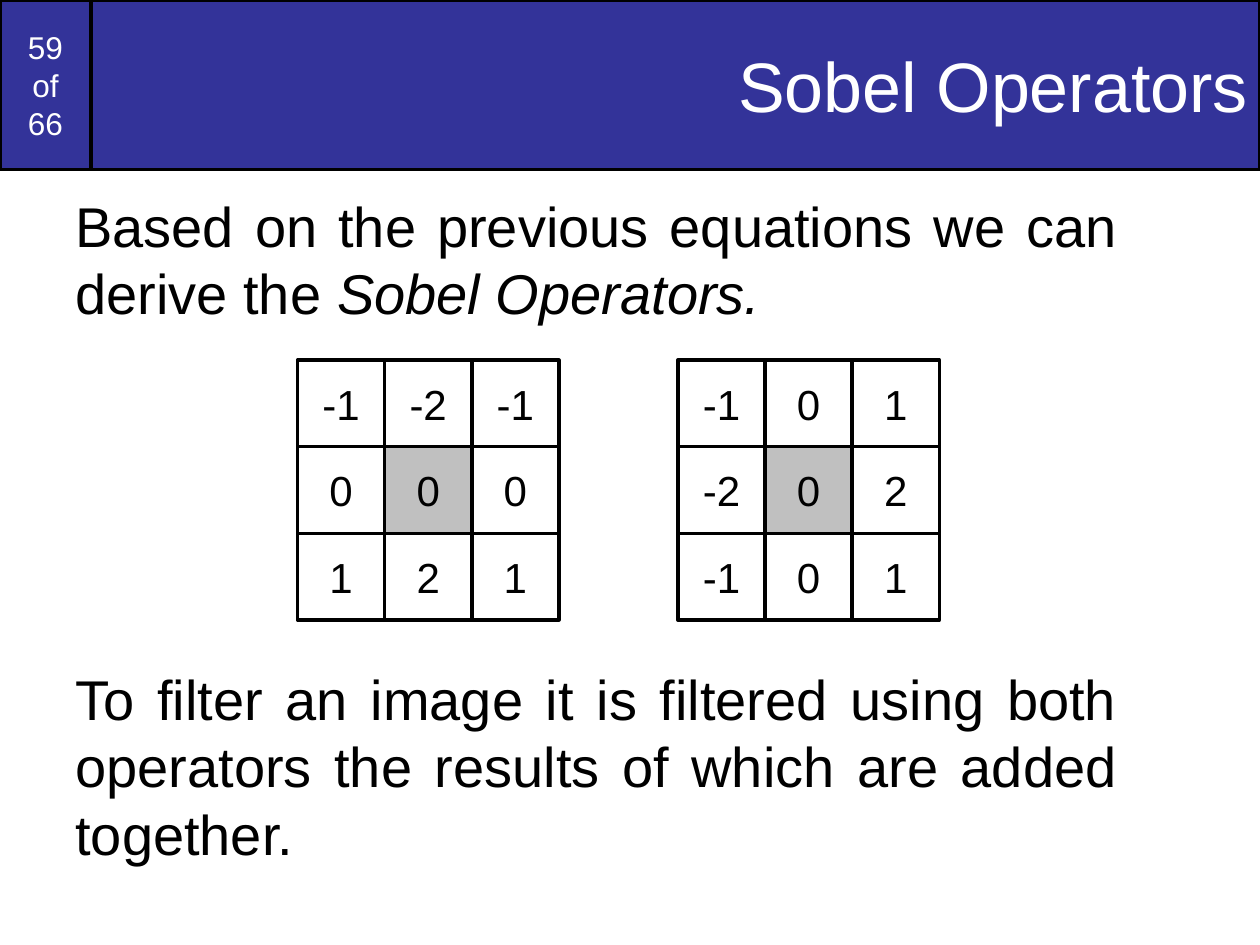
from dataclasses import dataclass

from pptx import Presentation
from pptx.dml.color import RGBColor
from pptx.enum.shapes import MSO_SHAPE
from pptx.enum.text import MSO_ANCHOR, PP_ALIGN
from pptx.util import Pt


@dataclass(frozen=True)
class Theme:
    font: str = "Arial"
    banner: RGBColor = RGBColor(0x33, 0x33, 0x99)
    ink: RGBColor = RGBColor(0, 0, 0)
    paper: RGBColor = RGBColor(255, 255, 255)
    centre: RGBColor = RGBColor(0xC0, 0xC0, 0xC0)
    title_size: float = 40
    body_size: float = 32
    cell_size: float = 24
    counter_size: float = 18
    leading: float = 1.2
    outline: float = 2


THEME = Theme()
HORIZONTAL_KERNEL = [["-1", "-2", "-1"], ["0", "0", "0"], ["1", "2", "1"]]
VERTICAL_KERNEL = [["-1", "0", "1"], ["-2", "0", "2"], ["-1", "0", "1"]]


def write(para, text, *, size, color=THEME.ink, align=PP_ALIGN.CENTER,
          italic=False, before=0):
    """Append text to a paragraph; each newline becomes a line break."""
    para.alignment = align
    para.line_spacing = Pt(size * THEME.leading)
    para.space_before = Pt(before)
    for index, line in enumerate(text.split("\n")):
        if index:
            para.add_line_break()
        span = para.add_run()
        span.text = line
        span.font.name = THEME.font
        span.font.size = Pt(size)
        span.font.italic = italic
        span.font.color.rgb = color


def add_panel(shapes, box, fill, text, *, wrap=True, **text_format):
    """Outlined rectangle with vertically centred text."""
    panel = shapes.add_shape(MSO_SHAPE.RECTANGLE, *map(Pt, box))
    panel.shadow.inherit = False
    panel.fill.solid()
    panel.fill.fore_color.rgb = fill
    panel.line.color.rgb = THEME.ink
    panel.line.width = Pt(THEME.outline)
    frame = panel.text_frame
    frame.word_wrap = wrap
    frame.vertical_anchor = MSO_ANCHOR.MIDDLE
    write(frame.paragraphs[0], text, **text_format)


def add_banner(page, box):
    left, top, width, height = box
    counter_width = 52
    add_panel(page.shapes, (left, top, counter_width, height), THEME.banner,
              "59\nof\n66", size=THEME.counter_size, color=THEME.paper)
    add_panel(page.shapes,
              (left + counter_width, top, width - counter_width, height),
              THEME.banner, "Sobel Operators", size=THEME.title_size,
              color=THEME.paper, align=PP_ALIGN.RIGHT)


def add_body(page, box, kernel_gap):
    """Two paragraphs, with kernel_gap left between them for the kernels."""
    frame = page.shapes.add_textbox(*map(Pt, box)).text_frame
    frame.word_wrap = True
    body = {"size": THEME.body_size, "align": PP_ALIGN.JUSTIFY}
    intro = frame.paragraphs[0]
    write(intro, "Based on the previous equations we can derive the ", **body)
    write(intro, "Sobel Operators.", italic=True, **body)
    write(frame.add_paragraph(),
          "To filter an image it is filtered using both operators "
          "the results of which are added together.",
          before=kernel_gap, **body)


def add_kernel(page, box, values):
    """Grouped grid of cells with the middle one shaded."""
    left, top, width, height = box
    cell_width, cell_height = width / len(values[0]), height / len(values)
    group = page.shapes.add_group_shape()
    for row, line in enumerate(values):
        for column, value in enumerate(line):
            cell = (left + column * cell_width, top + row * cell_height,
                    cell_width, cell_height)
            fill = THEME.centre if row == column == 1 else THEME.paper
            add_panel(group.shapes, cell, fill, value, wrap=False,
                      size=THEME.cell_size)


def main():
    deck = Presentation()
    deck.slide_width, deck.slide_height = Pt(720), Pt(540)
    page = deck.slides.add_slide(deck.slide_layouts[6])
    add_banner(page, (0, 0, 720, 97))
    add_body(page, (36, 106, 610, 407), kernel_gap=193.5)
    for left, values in ((170, HORIZONTAL_KERNEL), (387.4, VERTICAL_KERNEL)):
        add_kernel(page, (left, 205.8, 149.4, 148.5), values)
    deck.save("out.pptx")


if __name__ == "__main__":
    main()
